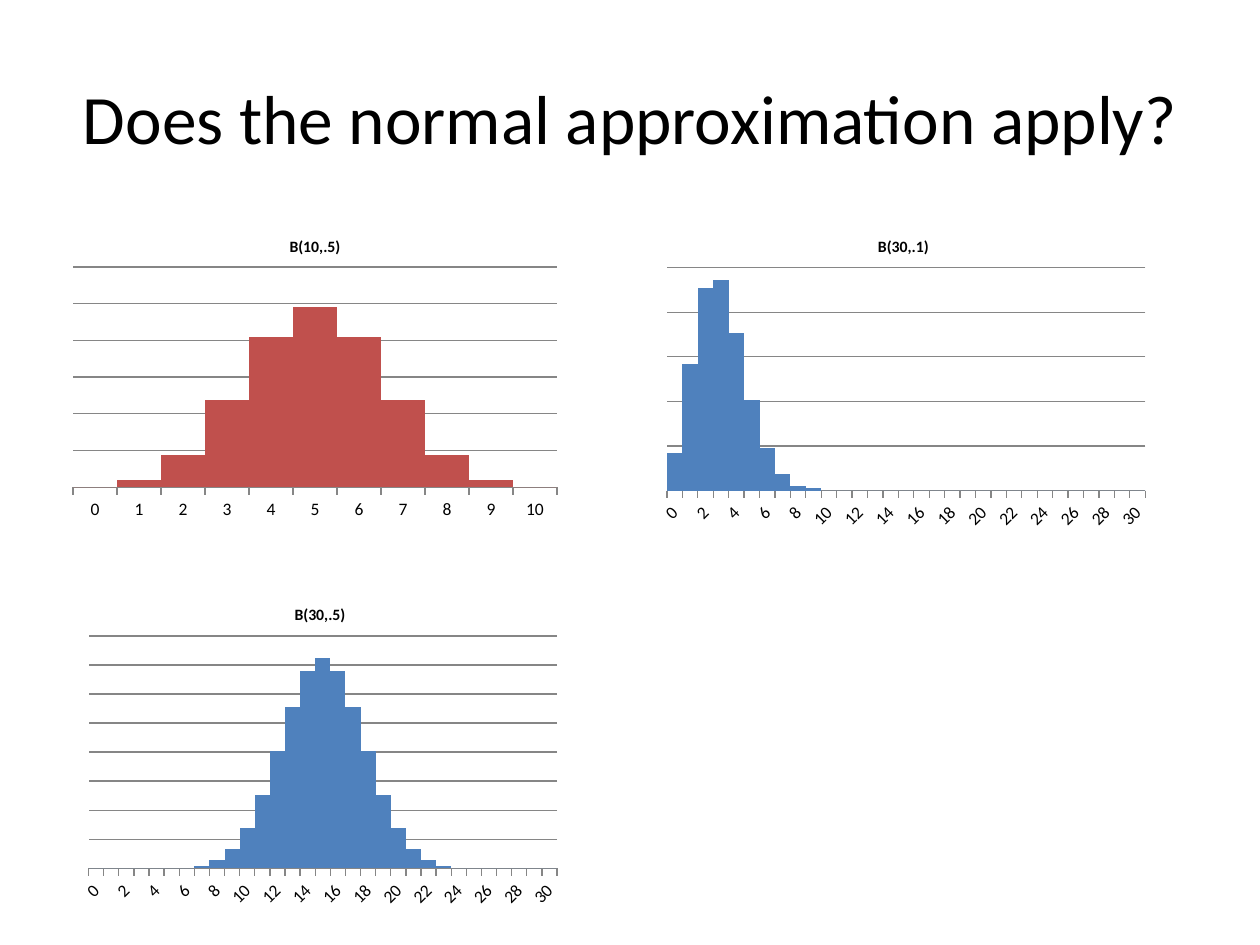
import math
import pptx
import pptx.util
import pptx.chart.data
import pptx.dml.color
import pptx.enum.chart
import pptx.enum.text

Inches, Pt = pptx.util.Inches, pptx.util.Pt
RGB = pptx.dml.color.RGBColor
BLACK = RGB(0x00, 0x00, 0x00)
GRAY = RGB(0x86, 0x86, 0x86)
RED = RGB(0xC0, 0x50, 0x4D)
BLUE = RGB(0x4F, 0x81, 0xBD)
FACE = "Calibri"


def style(font, size, bold=False):
    look = {"name": FACE, "size": Pt(size), "bold": bold}
    for key, val in look.items():
        setattr(font, key, val)
    font.color.rgb = BLACK


deck = pptx.Presentation()
deck.slide_width, deck.slide_height = Inches(10), Inches(7.5)
slide = deck.slides.add_slide(deck.slide_layouts[6])

# Heading
box = slide.shapes.add_textbox(
    *map(Inches, (0.5, 0.3, 9, 1.25)))
frame = box.text_frame
frame.word_wrap = True
frame.vertical_anchor = pptx.enum.text.MSO_ANCHOR.MIDDLE
para = frame.paragraphs[0]
para.alignment = pptx.enum.text.PP_ALIGN.CENTER
run = para.add_run()
run.text = "Does the normal approximation apply?"
style(run.font, 39.6)

# Binomial charts: title, trials, chance, grid step, grid rows, color, place
plots = [
    ("B(10,.5)", 10, 0.5, 0.05, 6, RED, (0.5, 1.75, 4, 2.42)),
    ("B(30,.1)", 30, 0.1, 0.05, 5, BLUE, (5.17, 1.75, 4, 2.5)),
    ("B(30,.5)", 30, 0.5, 0.02, 8, BLUE, (0.58, 4.67, 3.92, 2.58)),
]
for title, n, p, step, rows, color, place in plots:
    # Heights as percent of the peak
    odds = [math.comb(n, k) * p**k * (1 - p)**(n - k) for k in range(n + 1)]
    peak = max(odds)
    data = pptx.chart.data.CategoryChartData()
    data.categories = [str(k) for k in range(n + 1)]
    data.add_series("Series 1", [round(100 * x / peak) for x in odds])
    chart = slide.shapes.add_chart(
        pptx.enum.chart.XL_CHART_TYPE.COLUMN_CLUSTERED,
        *map(Inches, place), data).chart
    style(chart.font, 10)
    chart.has_legend = False

    # Title
    chart.has_title = True
    head = chart.chart_title
    head.include_in_layout = False
    head.text_frame.text = title
    style(head.text_frame.paragraphs[0].runs[0].font, 9, True)

    # Bars
    plot = chart.plots[0]
    plot.gap_width = 0
    plot.vary_by_categories = False
    fill = plot.series[0].format.fill
    fill.solid()
    fill.fore_color.rgb = color

    # Axes
    unit = round(100 * step / peak, 2)
    side, base = chart.value_axis, chart.category_axis
    scale = {"minimum_scale": 0, "maximum_scale": round(unit * rows, 2),
             "major_unit": unit, "has_major_gridlines": True,
             "visible": False}
    for key, val in scale.items():
        setattr(side, key, val)
    base.major_tick_mark = pptx.enum.chart.XL_TICK_MARK.OUTSIDE
    for line in (side.major_gridlines.format.line, base.format.line):
        line.color.rgb = GRAY
        line.width = Pt(0.75)

deck.save("out.pptx")
